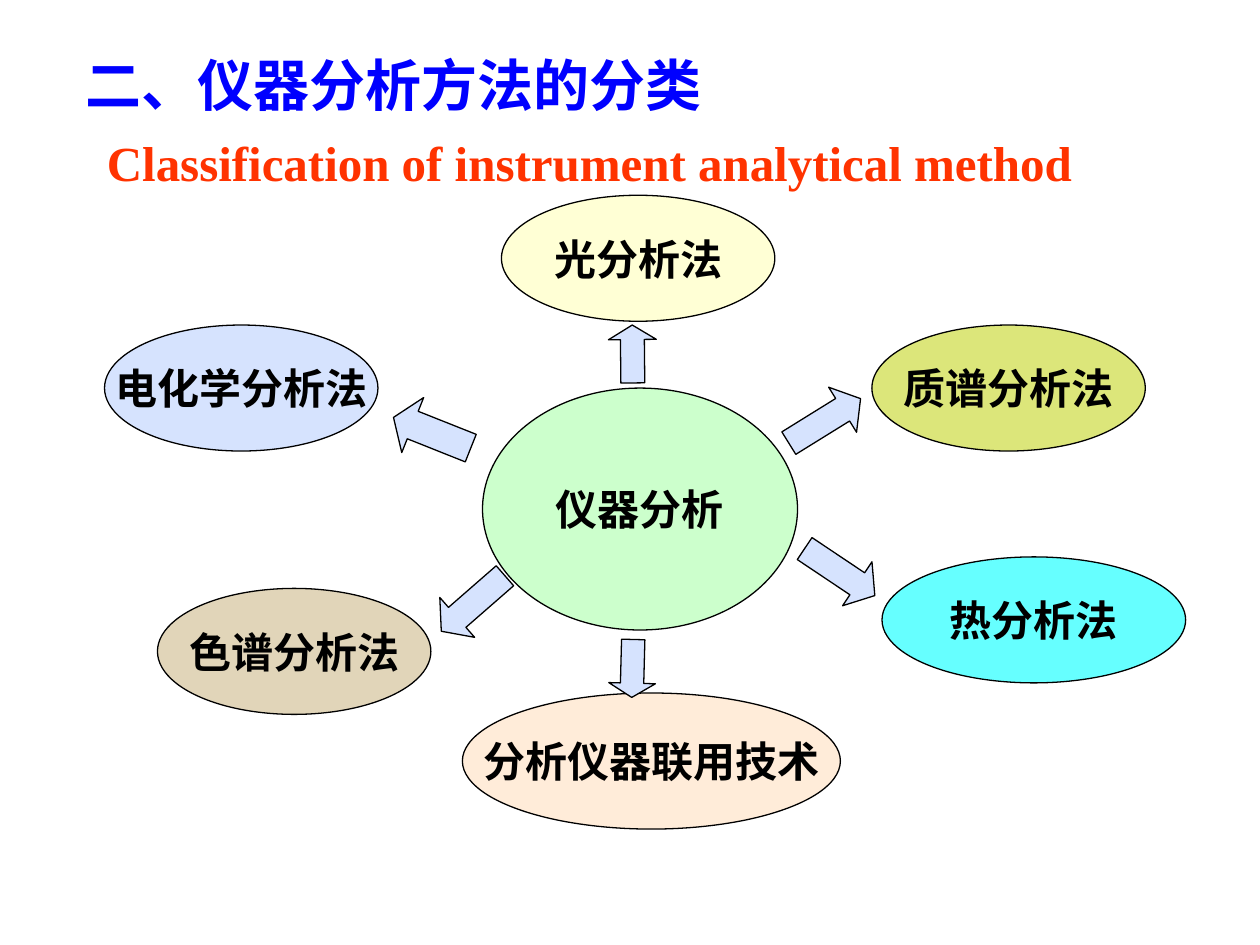
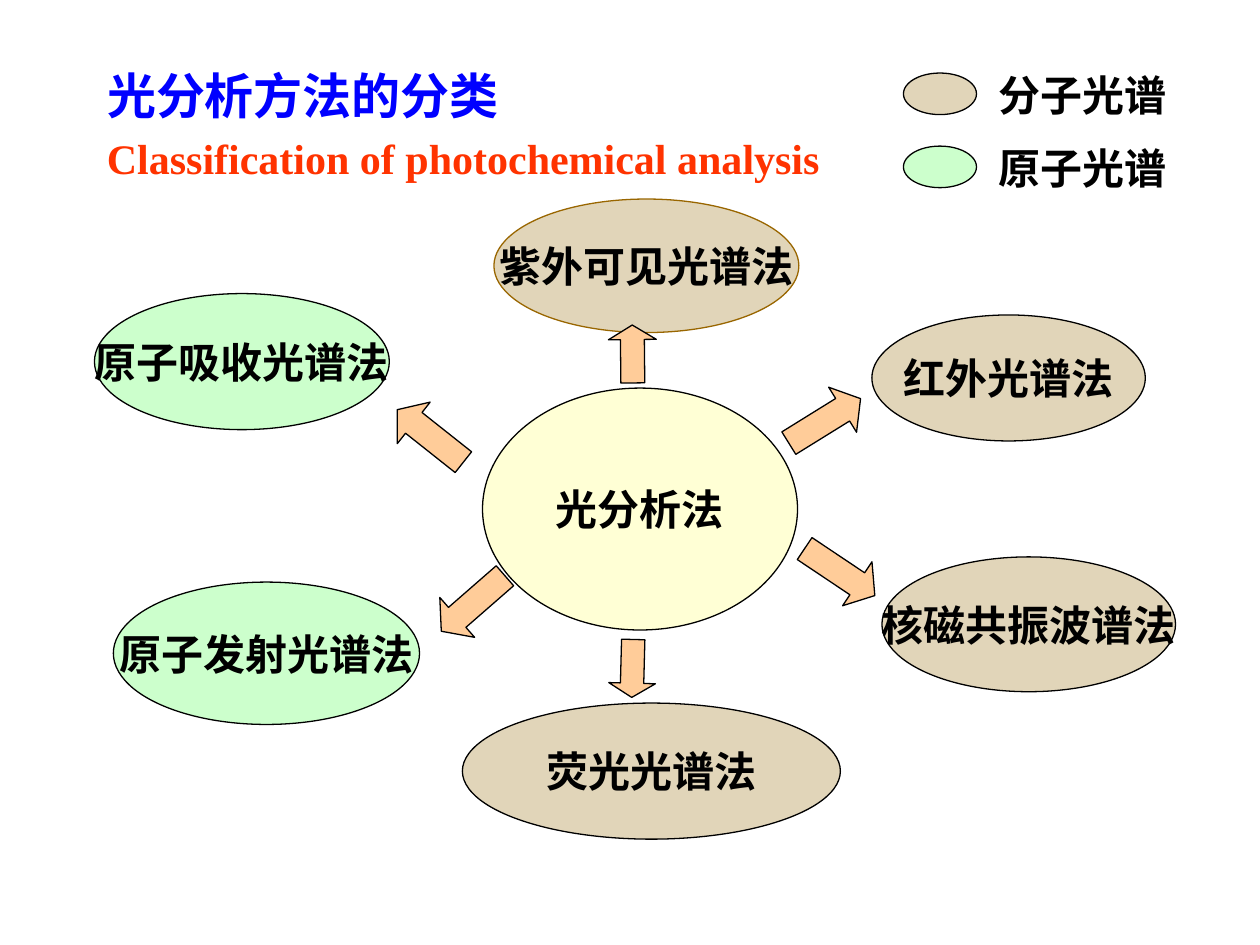
"""Build two hub-and-spoke slides on the classes of instrumental analysis."""
from lxml.etree import SubElement
from pptx import Presentation
from pptx.dml.color import RGBColor
from pptx.enum.shapes import MSO_SHAPE as Kind
from pptx.enum.text import MSO_ANCHOR as Anchor, MSO_AUTO_SIZE as Fit, PP_ALIGN as Align
from pptx.oxml.ns import qn
from pptx.util import Inches, Pt

HUE = {
    "blue": "0000FF", "red": "FF3300", "black": "000000", "brown": "996600",
    "green": "CCFFCC", "cream": "FFFFD5", "sky": "D6E3FE", "lime": "DCE67A",
    "tan": "E1D5B9", "cyan": "66FFFF", "peach": "FFECD9", "orange": "FFCC99",
}
CJK, SANS, SERIF = "Noto Sans CJK SC", "Arial", "Times New Roman"
HUB = (3.83, 3.08, 2.5, 1.92)
ARROWS = [
    ((4.79, 2.62, 0.46, 0.38), 89.4, 0.304),
    ((6.21, 3.13, 0.67, 0.42), 148.2, 0.4),
    ((6.33, 4.33, 0.67, 0.42), 213.8, 0.4),
    ((4.79, 5.12, 0.46, 0.37), 271.5, 0.306),
    ((3.42, 4.58, 0.67, 0.42), 318.9, 0.4),
]


class Deck:
    def __init__(self):
        self.prs = Presentation()
        self.prs.slide_width, self.prs.slide_height = Inches(10), Inches(7.5)
        self.slide = None

    def color(self, name):
        return RGBColor.from_string(HUE[name])

    def letter(self, shape, text, size, hue, face, align):
        frame = shape.text_frame
        frame.text = text
        par = frame.paragraphs[0]
        par.alignment = align
        font = par.font
        font.size, font.bold, font.name = Pt(size), True, face
        font.color.rgb = self.color(hue)
        props = par._p.pPr.find(qn("a:defRPr"))
        SubElement(props, qn("a:ea")).set("typeface", CJK)
        return frame

    def title(self, text, box, size):
        self.slide = self.prs.slides.add_slide(self.prs.slide_layouts[5])
        head = self.slide.shapes.title
        head.left, head.top, head.width, head.height = map(Inches, box)
        frame = self.letter(head, text, size, "blue", CJK, Align.LEFT)
        frame.auto_size, frame.vertical_anchor = Fit.NONE, Anchor.MIDDLE

    def label(self, text, box, size, hue):
        shape = self.slide.shapes.add_textbox(*map(Inches, box))
        frame = self.letter(shape, text, size, hue, SERIF, Align.JUSTIFY)
        frame.word_wrap = True

    def shape(self, kind, box, fill, line="black"):
        item = self.slide.shapes.add_shape(kind, *map(Inches, box))
        item.shadow.inherit = False
        item.fill.solid()
        item.fill.fore_color.rgb = self.color(fill)
        item.line.color.rgb = self.color(line)
        item.line.width = Pt(0.75)
        return item

    def oval(self, text, box, fill, line="black", face=SANS):
        item = self.shape(Kind.OVAL, box, fill, line)
        frame = self.letter(item, text, 24, "black", face, Align.CENTER)
        frame.word_wrap, frame.vertical_anchor = False, Anchor.MIDDLE

    def arrow(self, box, turn, tip, fill):
        item = self.shape(Kind.LEFT_ARROW, box, fill)
        item.rotation = turn
        item.adjustments[0], item.adjustments[1] = 0.5, tip

    def wheel(self, hub, fill, nodes, first, tint):
        self.oval(hub, HUB, fill)
        for node in nodes:
            self.oval(*node)
        for box, turn, tip in [first, *ARROWS]:
            self.arrow(box, turn, tip, tint)

    def legend(self, names):
        for row, (text, fill) in enumerate(names):
            drop = row * 0.58
            self.shape(Kind.OVAL, (7.17, 0.58 + drop, 0.58, 0.33), fill)
            self.label(text, (7.83, 0.5 + drop, 1.83, 0.5), 24, "black")


def main():
    deck = Deck()

    deck.title("二、仪器分析方法的分类", (0.58, 0.42, 8.5, 0.5), 32)
    deck.label("Classification of instrument analytical method",
               (0.75, 1, 8.33, 0.57), 28, "red")
    deck.wheel("仪器分析", "green", [
        ("电化学分析法", (0.83, 2.58, 2.17, 1), "sky"),
        ("质谱分析法", (6.92, 2.58, 2.17, 1), "lime", "black", CJK),
        ("色谱分析法", (1.25, 4.67, 2.17, 1), "tan"),
        ("热分析法", (7, 4.42, 2.41, 1), "cyan", "black", CJK),
        ("分析仪器联用技术", (3.67, 5.5, 3, 1.08), "peach"),
        ("光分析法", (3.98, 1.55, 2.17, 1), "cream", "black", CJK),
    ], ((3.1, 3.2, 0.66, 0.47), 21.7, 0.35), "sky")

    deck.title("光分析方法的分类", (0.75, 0.5, 8.5, 0.5), 28)
    deck.label("Classification of photochemical analysis",
               (0.75, 1, 6.17, 0.5), 24, "red")
    deck.wheel("光分析法", "cream", [
        ("原子吸收光谱法", (0.75, 2.33, 2.34, 1.08), "green"),
        ("红外光谱法", (6.92, 2.5, 2.17, 1), "tan"),
        ("原子发射光谱法", (0.9, 4.62, 2.43, 1.13), "green"),
        ("核磁共振波谱法", (7, 4.42, 2.33, 1.07), "tan"),
        ("荧光光谱法", (3.67, 5.58, 3, 1.08), "tan"),
        ("紫外可见光谱法", (3.92, 1.58, 2.42, 1.06), "tan", "brown"),
    ], ((3.08, 3.25, 0.67, 0.42), 38.4, 0.4), "orange")
    deck.legend([("分子光谱", "tan"), ("原子光谱", "green")])

    deck.prs.save("out.pptx")


if __name__ == "__main__":
    main()
